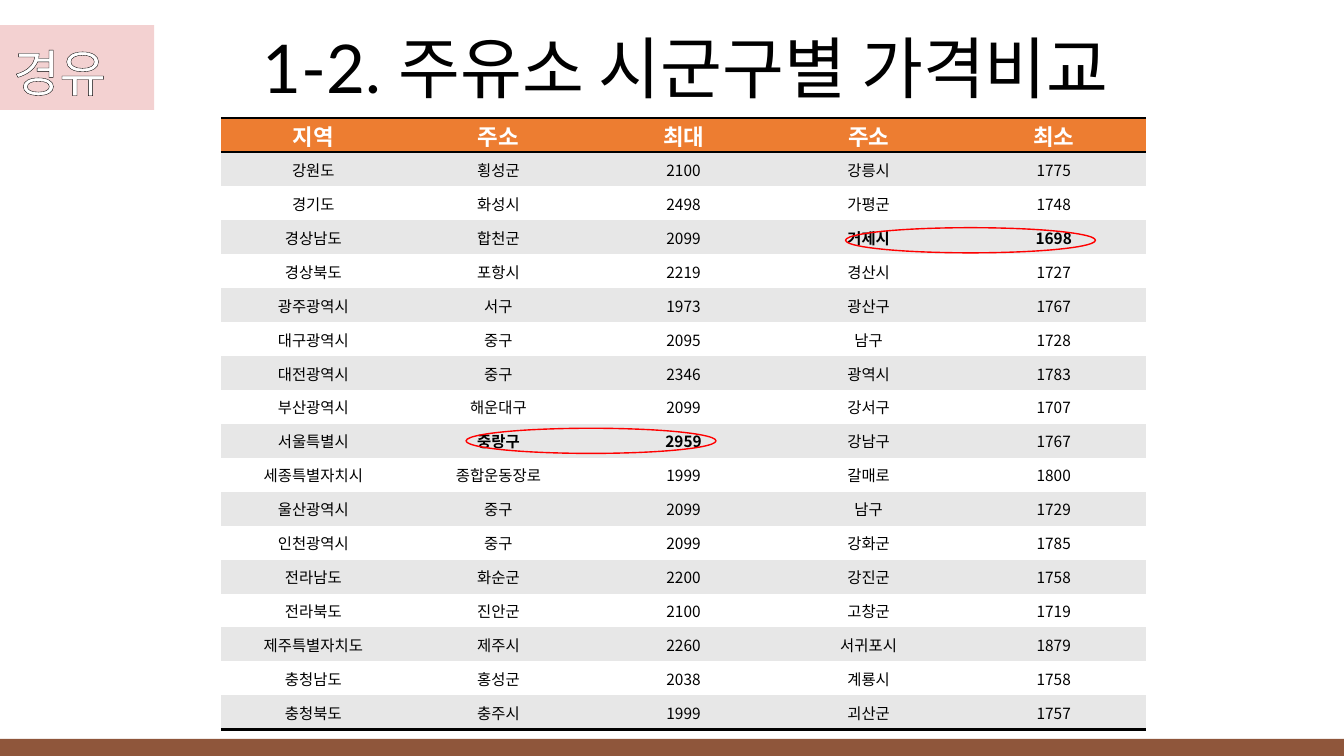
"""Build the slide comparing diesel prices by city and county."""
from lxml import etree
from pptx import Presentation, util as u
from pptx.dml.color import RGBColor
from pptx.enum import shapes, text
from pptx.oxml import ns

TITLE = "1-2. 주유소 시군구별 가격비교"
FUEL = "경유"
HEADER = ("지역", "주소", "최대", "주소", "최소")
PRICES = [
    ("강원도", "횡성군", "2100", "강릉시", "1775"),
    ("경기도", "화성시", "2498", "가평군", "1748"),
    ("경상남도", "합천군", "2099", "거제시", "1698"),
    ("경상북도", "포항시", "2219", "경산시", "1727"),
    ("광주광역시", "서구", "1973", "광산구", "1767"),
    ("대구광역시", "중구", "2095", "남구", "1728"),
    ("대전광역시", "중구", "2346", "광역시", "1783"),
    ("부산광역시", "해운대구", "2099", "강서구", "1707"),
    ("서울특별시", "중랑구", "2959", "강남구", "1767"),
    ("세종특별자치시", "종합운동장로", "1999", "갈매로", "1800"),
    ("울산광역시", "중구", "2099", "남구", "1729"),
    ("인천광역시", "중구", "2099", "강화군", "1785"),
    ("전라남도", "화순군", "2200", "강진군", "1758"),
    ("전라북도", "진안군", "2100", "고창군", "1719"),
    ("제주특별자치도", "제주시", "2260", "서귀포시", "1879"),
    ("충청남도", "홍성군", "2038", "계룡시", "1758"),
    ("충청북도", "충주시", "1999", "괴산군", "1757"),
]
EXTREMES = {(9, 1), (9, 2), (3, 3), (3, 4)}
RING_CENTRES = [(2, 9.5), (4.05, 3.6)]
RING_COLUMNS, RING_ROWS = 1.35, 0.74
COLOURS = {"bar": "8F563B", "badge": "C00000", "header": "ED7D31", "band": "E7E7E7",
           "white": "FFFFFF", "black": "000000", "ring": "FF0000"}
TITLE_FONT, TABLE_FONT = "Lato", "Noto Sans CJK KR"
WIDTH, HEIGHT = 13.33, 7.5
LEFT, TOP = 2.19, 1.17
COLUMN, ROW = 9.18 / len(HEADER), 6.07 / (len(PRICES) + 1)
NO_STYLE = "{2D5ABB26-0587-4C30-8999-92F81FD0307C}"


def colour(name):
    return RGBColor.from_string(COLOURS[name])


def set_font(font, face, size, name, bold=False):
    font.name, font.size, font.bold = face, u.Pt(size), bold
    font.color.rgb = colour(name)


def outline_element(tag, points):
    line = etree.Element(ns.qn(f"a:{tag}"), w=str(u.Pt(points)))
    fill = etree.SubElement(line, ns.qn("a:solidFill"))
    etree.SubElement(fill, ns.qn("a:srgbClr"), val=COLOURS["black"])
    return line


def add_shape(slide, kind, box, fill=None, line=None):
    shape = slide.shapes.add_shape(kind, *map(u.Inches, box))
    shape.shadow.inherit = False
    if fill:
        shape.fill.solid()
        shape.fill.fore_color.rgb = colour(fill)
    else:
        shape.fill.background()
    if line:
        shape.line.color.rgb = colour(line)
        shape.line.width = u.Pt(1)
    else:
        shape.line.fill.background()
    return shape


def add_title(slide):
    box = slide.shapes.add_textbox(*map(u.Inches, (1.43, 0.21, 10.74, 0.91)))
    box.text_frame.word_wrap = True
    paragraph = box.text_frame.paragraphs[0]
    paragraph.text = TITLE
    paragraph.alignment = text.PP_ALIGN.CENTER
    set_font(paragraph.font, TITLE_FONT, 48, "black")


def add_badge(slide):
    badge = add_shape(slide, shapes.MSO_SHAPE.RECTANGLE, (-0.91, 0.25, 2.44, 0.84), "badge")
    tint = badge.fill._xPr.find(f".//{ns.qn('a:srgbClr')}")
    etree.SubElement(tint, ns.qn("a:alpha"), val="18000")
    frame = badge.text_frame
    frame.margin_left, frame.margin_top = u.Inches(0.66), u.Inches(0.13)
    frame.vertical_anchor = text.MSO_ANCHOR.MIDDLE
    paragraph = frame.paragraphs[0]
    paragraph.alignment = text.PP_ALIGN.CENTER
    run = paragraph.add_run()
    run.text = FUEL
    set_font(run.font, TITLE_FONT, 36, "white")
    run.font._element.insert(0, outline_element("ln", 0.75))


def fill_cell(cell, value, row, column):
    header = row == 0
    borders = ("lnT", "lnB") if header else ("lnB",) if row == len(PRICES) else ()
    properties = cell._tc.get_or_add_tcPr()
    for side in borders:
        properties.append(outline_element(side, 2))
    cell.fill.solid()
    cell.fill.fore_color.rgb = colour("header" if header else "band" if row % 2 else "white")
    cell.margin_left = cell.margin_right = cell.margin_top = u.Inches(0.01)
    cell.margin_bottom = 0
    cell.vertical_anchor = text.MSO_ANCHOR.MIDDLE
    paragraph = cell.text_frame.paragraphs[0]
    paragraph.text = value
    paragraph.alignment = text.PP_ALIGN.CENTER
    set_font(paragraph.font, TABLE_FONT, 16 if header else 11,
             "white" if header else "black", header or (row, column) in EXTREMES)


def add_price_table(slide):
    rows = [HEADER, *PRICES]
    size = (LEFT, TOP, COLUMN * len(HEADER), ROW * len(rows))
    table = slide.shapes.add_table(len(rows), len(HEADER), *map(u.Inches, size)).table
    table.first_row = table.horz_banding = False
    table._tbl.tblPr.find(ns.qn("a:tableStyleId")).text = NO_STYLE
    for row, values in enumerate(rows):
        for column, value in enumerate(values):
            fill_cell(table.cell(row, column), value, row, column)


def add_rings(slide):
    for column, row in RING_CENTRES:
        box = (LEFT + (column - RING_COLUMNS / 2) * COLUMN, TOP + (row - RING_ROWS / 2) * ROW,
               RING_COLUMNS * COLUMN, RING_ROWS * ROW)
        add_shape(slide, shapes.MSO_SHAPE.OVAL, box, line="ring")


def main():
    presentation = Presentation()
    presentation.slide_width, presentation.slide_height = u.Inches(WIDTH), u.Inches(HEIGHT)
    slide = presentation.slides.add_slide(presentation.slide_layouts[6])
    add_shape(slide, shapes.MSO_SHAPE.RECTANGLE, (0, 7.33, WIDTH, 0.2), "bar")
    add_title(slide)
    add_badge(slide)
    add_price_table(slide)
    add_rings(slide)
    presentation.save("out.pptx")


if __name__ == "__main__":
    main()
